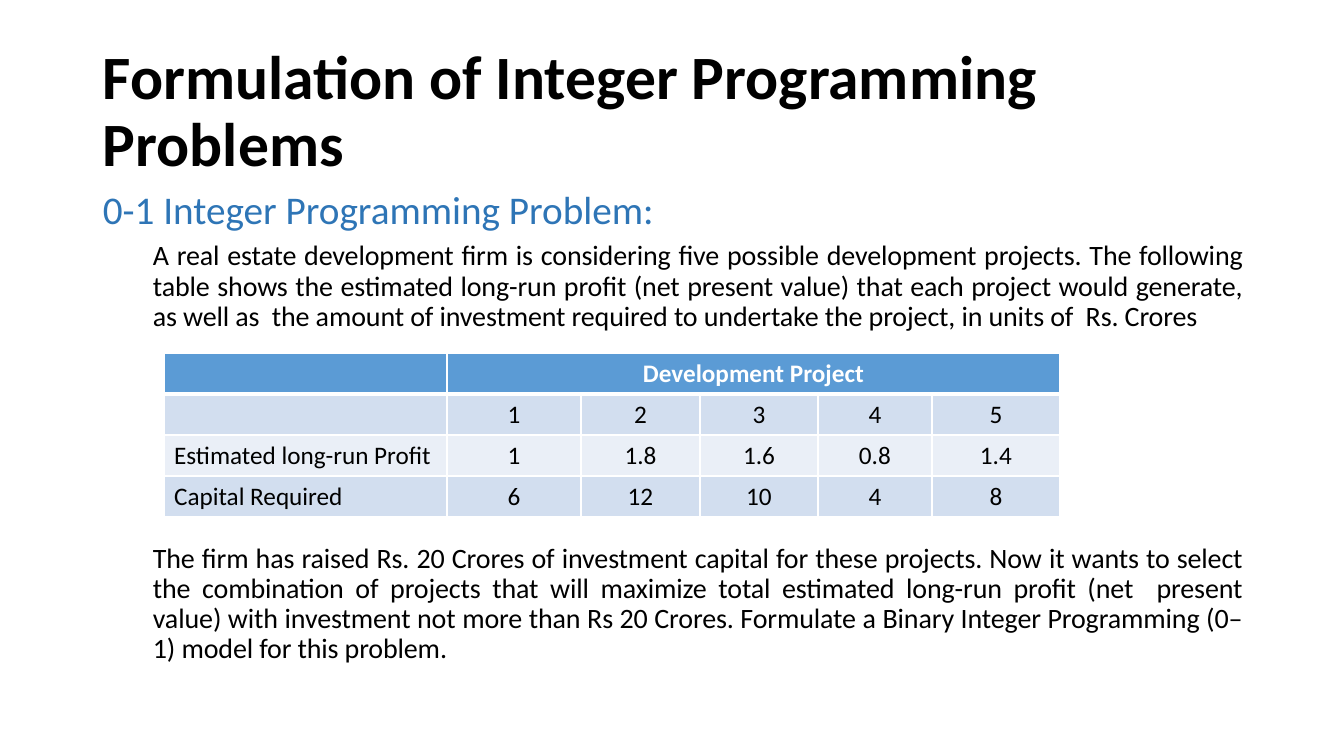
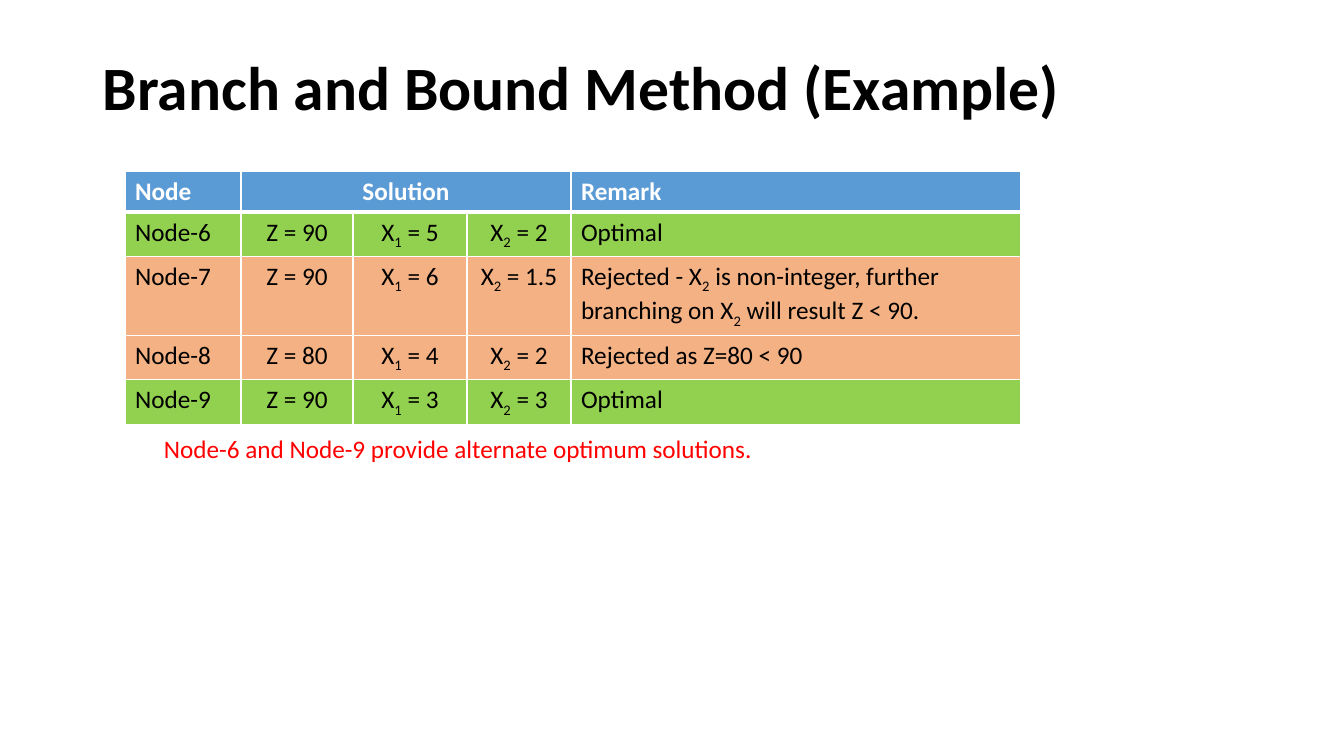
from dataclasses import dataclass

from lxml.etree import SubElement as Sub
from pptx import Presentation as Deck
from pptx.dml.color import RGBColor as Rgb
from pptx.enum.text import MSO_ANCHOR as Anchor, PP_ALIGN as Align
from pptx.oxml.ns import qn
from pptx.util import Pt


@dataclass(frozen=True)
class Theme:
    """Hold the colours, font and type sizes of the deck."""

    font: str = "Calibri"
    black: str = "000000"
    white: str = "FFFFFF"
    blue: str = "2E75B6"
    red: str = "FF0000"
    head: str = "5B9BD5"
    band: str = "D2DEEF"
    pale: str = "EAEFF7"
    green: str = "92D050"
    peach: str = "F4B183"
    title: int = 44
    lead: int = 28
    body: int = 20
    cell: int = 18


T = Theme()
LEFT, MID, JUST = Align.LEFT, Align.CENTER, Align.JUSTIFY
EDGES = ("lnL", "lnR", "lnT", "lnB")

ASK = (
    "A real estate development firm is considering five possible development projects. "
    "The following table shows the estimated long-run profit (net present value) that "
    "each project would generate, as well as  the amount of investment required to "
    "undertake the project, in units of  Rs. Crores"
)
TASK = (
    "The firm has raised Rs. 20 Crores of investment capital for these projects. Now it "
    "wants to select the combination of projects that will maximize total estimated "
    "long-run profit (net  present value) with investment not more than Rs 20 Crores. "
    "Formulate a Binary Integer Programming (0–1) model for this problem."
)
PLANS = [
    ["", "Development Project", "", "", "", ""],
    ["", "1", "2", "3", "4", "5"],
    ["Estimated long-run Profit", "1", "1.8", "1.6", "0.8", "1.4"],
    ["Capital Required", "6", "12", "10", "4", "8"],
]
NODES = [
    ["Node", "Solution", "", "", "Remark"],
    ["Node-6", "Z = 90", "X_1 = 5", "X_2 = 2", "Optimal"],
    ["Node-7", "Z = 90", "X_1 = 6", "X_2 = 1.5",
     "Rejected - X_2 is non-integer, further branching on X_2 will result Z < 90."],
    ["Node-8", "Z = 80", "X_1 = 4", "X_2 = 2", "Rejected as Z=80 < 90"],
    ["Node-9", "Z = 90", "X_1 = 3", "X_2 = 3", "Optimal"],
]


def px(n):
    """Turn px into EMU."""
    return round(n * 914400 / 100.8)


def write(frame, text, size=T.cell, color=T.black, bold=False, align=LEFT,
          line=1.0, before=0, indent=0, track=0):
    """Add a paragraph, lowering each character that follows an underscore."""
    para = frame.paragraphs[0]
    if para.runs:
        para = frame.add_paragraph()
    para.alignment, para.line_spacing, para.space_before = align, line, Pt(before)
    if indent:
        para.level = 1
        props = para._p.get_or_add_pPr()
        props.set("marL", str(px(indent)))
        props.set("indent", "0")
    first, *rest = text.split("_")
    parts = [(first, 0)]
    for part in rest:
        parts += [(part[0], -25000), (part[1:], 0)]
    for words, drop in parts:
        run = para.add_run()
        run.text = words
        font = run.font
        font.name, font.size, font.bold = T.font, Pt(size), bold
        font.color.rgb = Rgb.from_string(color)
        props = run._r.get_or_add_rPr()
        if drop:
            props.set("baseline", str(drop))
        if track:
            props.set("spc", str(track))


def frame(slide, box, anchor=Anchor.TOP):
    """Place a wrapped text box and return its frame."""
    area = slide.shapes.add_textbox(*map(px, box)).text_frame
    area.word_wrap, area.vertical_anchor = True, anchor
    return area


def title(slide, box, text):
    """Place the bold slide title."""
    write(frame(slide, box, Anchor.MIDDLE), text, size=T.title, bold=True, line=0.9)


def rule(cell, row):
    """Draw white cell borders, thick under the header row."""
    props = cell._tc.get_or_add_tcPr()
    for edge in EDGES:
        thick = (row, edge) in ((0, "lnB"), (1, "lnT"))
        line = Sub(props, qn("a:" + edge), w=str(Pt(3 if thick else 1)))
        Sub(Sub(line, qn("a:solidFill")), qn("a:srgbClr"), val=T.white)


def grid(slide, spot, cols, rows, fills, span, left):
    """Place a table with a header cell that spans from column 1 to span."""
    high = 41
    box = (*spot, sum(cols), high * len(rows))
    table = slide.shapes.add_table(len(rows), len(cols), *map(px, box)).table
    table.first_row = table.horz_banding = False
    for col, wide in zip(table.columns, cols):
        col.width = px(wide)
    for r, (words, fill) in enumerate(zip(rows, [T.head, *fills])):
        table.rows[r].height = px(high)
        for c, text in enumerate(words):
            cell = table.cell(r, c)
            rule(cell, r)
            cell.fill.solid()
            cell.fill.fore_color.rgb = Rgb.from_string(fill)
            if text:
                write(cell.text_frame, text, color=T.black if r else T.white,
                      bold=r == 0, align=LEFT if c in left else MID)
    table.cell(0, 1).merge(table.cell(0, span))


def model(slide):
    """Build the slide that states the 0-1 problem."""
    title(slide, (93, 40, 1159, 146), "Formulation of Integer Programming Problems")
    area = frame(slide, (93, 186, 1159, 548))
    write(area, "0-1 Integer Programming Problem:", size=T.lead, color=T.blue,
          align=JUST, line=0.9, before=6)
    for text, before in ((ASK, 6), (TASK, 151)):
        write(area, text, size=T.body, align=JUST, line=0.9, before=before,
              indent=50, track=-10)
    grid(slide, (164, 353), (283, 134, 119, 118, 114, 128), PLANS,
         (T.band, T.pale, T.band), span=5, left=(0,))


def branch(slide):
    """Build the slide that compares the nodes."""
    title(slide, (93, 40, 1128, 101), "Branch and Bound Method (Example)")
    grid(slide, (125, 171), (116, 112, 114, 104, 450), NODES,
         (T.green, T.peach, T.peach, T.green), span=3, left=(0, 4))
    write(frame(slide, (154, 428, 616, 40)),
          "Node-6 and Node-9 provide alternate optimum solutions.", color=T.red)


def main():
    """Build and save the deck."""
    deck = Deck()
    deck.slide_width, deck.slide_height = px(1344), px(756)
    for build in (model, branch):
        build(deck.slides.add_slide(deck.slide_layouts[6]))
    deck.save("out.pptx")


if __name__ == "__main__":
    main()
